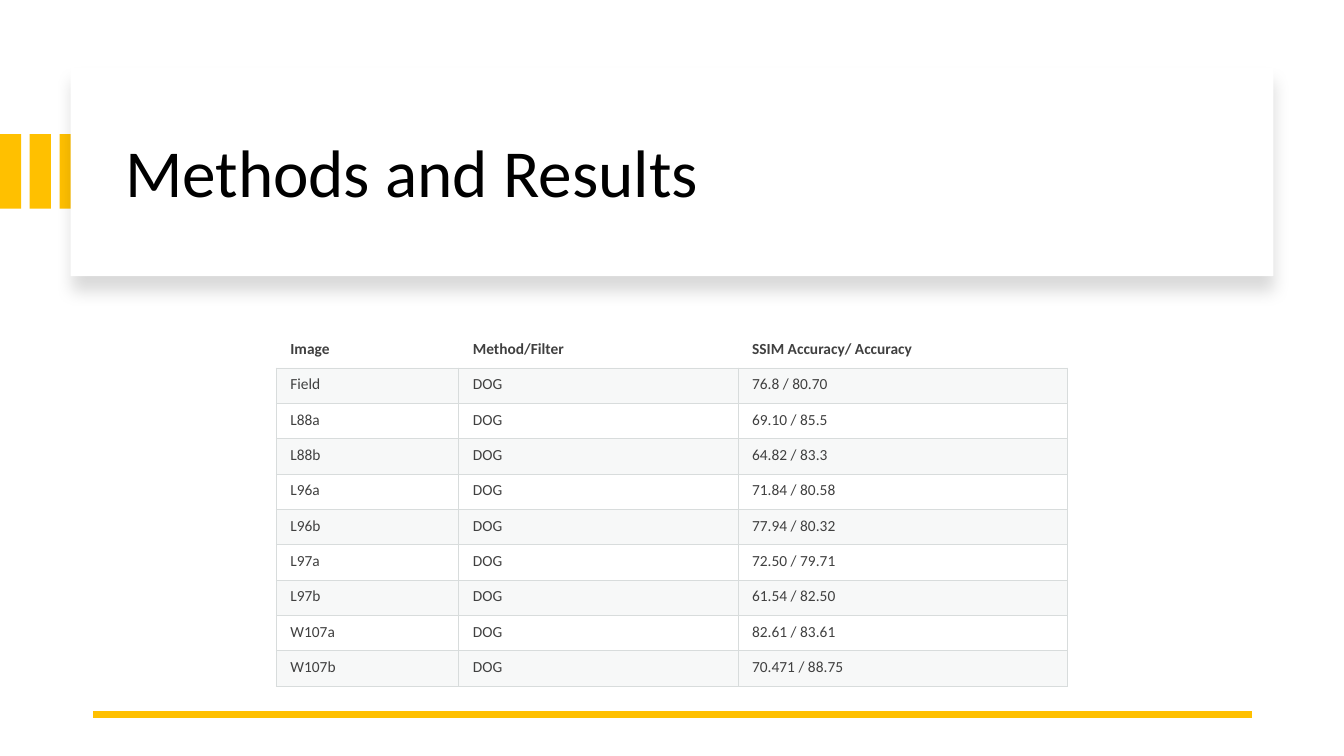
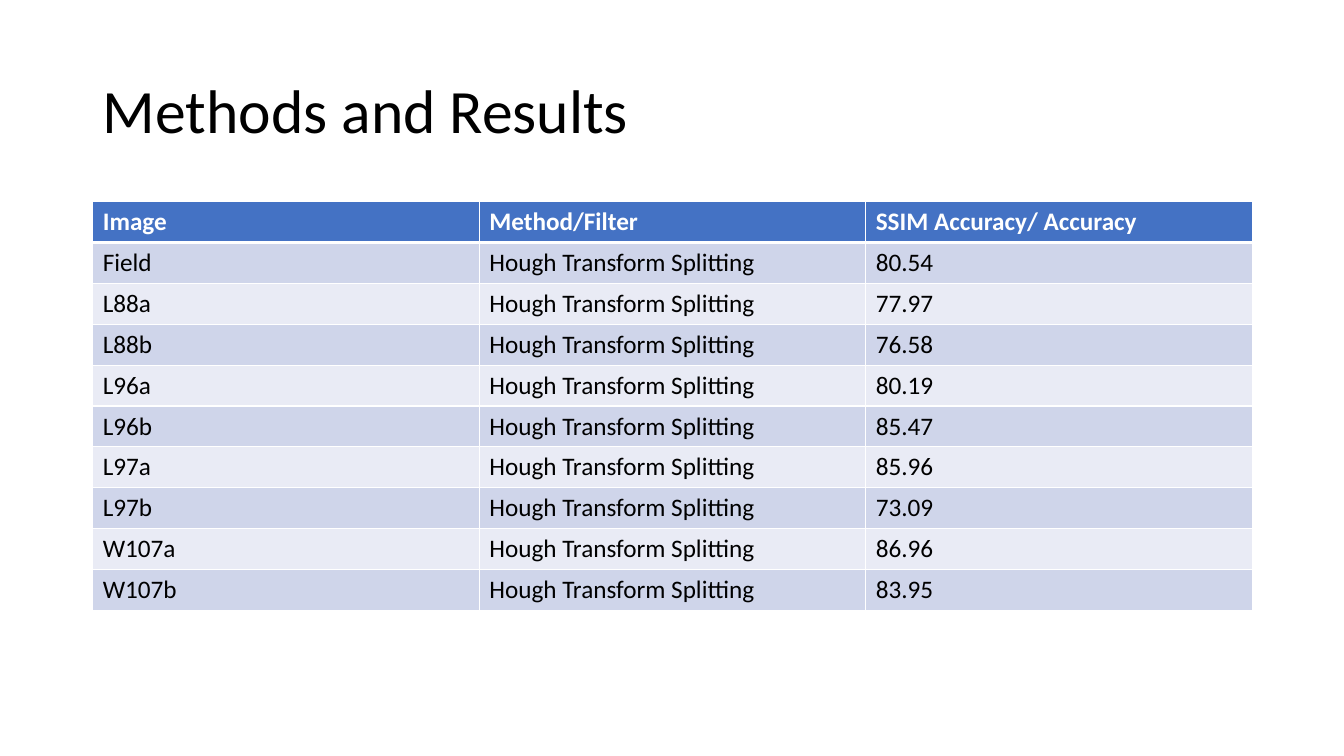
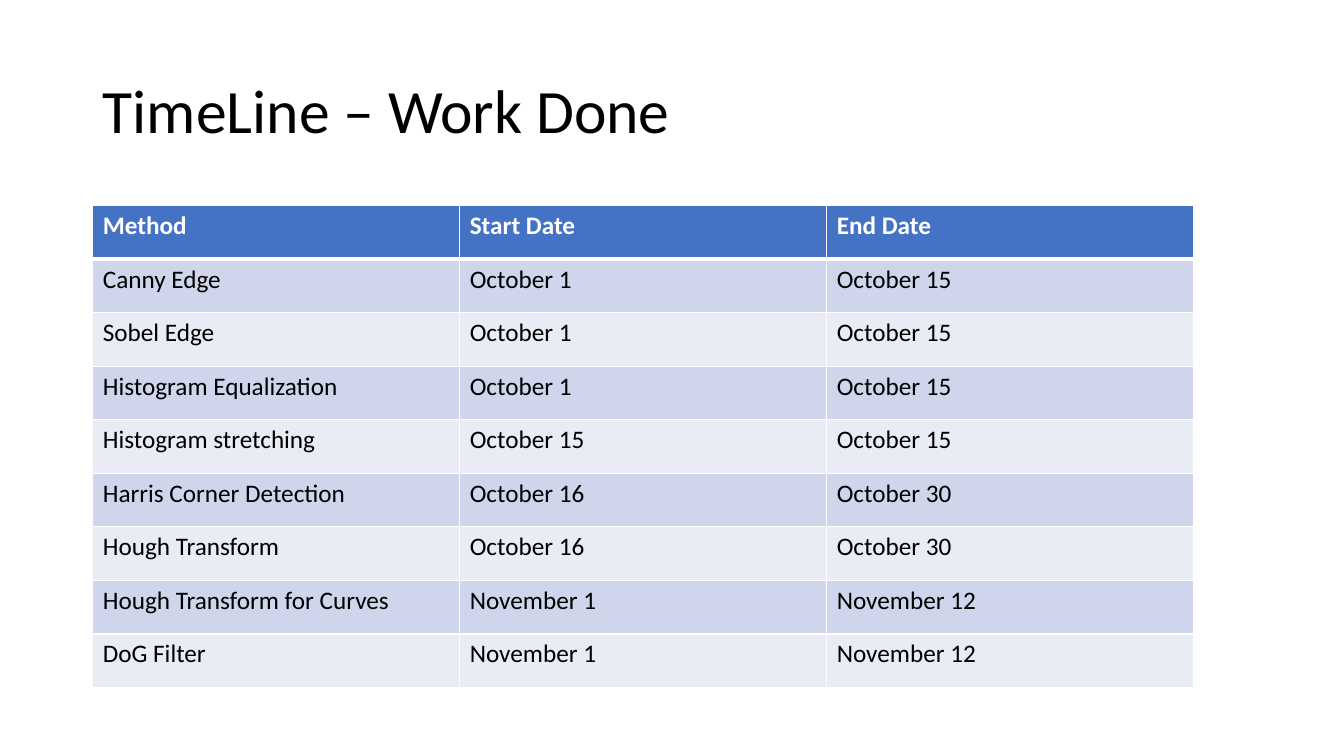
from dataclasses import dataclass
from typing import NamedTuple

from lxml.etree import SubElement
from pptx import Presentation
from pptx.dml.color import RGBColor
from pptx.enum.shapes import MSO_CONNECTOR as Connector, MSO_SHAPE as Shape
from pptx.enum.text import MSO_ANCHOR as Anchor, MSO_AUTO_SIZE as AutoSize, PP_ALIGN as Align
from pptx.oxml.ns import qn
from pptx.util import Inches, Pt


class Box(NamedTuple):
    """A region in inches."""
    left: float
    top: float
    width: float
    height: float

    def lengths(self):
        """Return the four sides as lengths."""
        return [Inches(side) for side in self]


class Border(NamedTuple):
    """A cell border; a width of zero hides it."""
    colour: str
    width: float


@dataclass(frozen=True)
class TableLook:
    """Colours, sizes and borders of one kind of table."""
    size: int
    header_text: str
    body_text: str
    header_fill: str | None
    band_fills: tuple
    outer_header: Border
    header_rule: Border
    grid: Border
    opacity: int = 100
    insets: tuple = (0.1, 0.05, 0.1, 0.05)


@dataclass(frozen=True)
class Theme:
    """Fonts, colours and sizes shared by the deck."""
    font: str = "Calibri"
    text: str = "000000"
    card: str = "FFFFFF"
    accent: str = "FFC000"
    title_size: int = 44
    card_title_size: int = 48
    rule_width: float = 4.5
    banded: TableLook = TableLook(
        size=18, header_text="FFFFFF", body_text="000000",
        header_fill="4472C4", band_fills=("CFD5EA", "E9EBF5"),
        outer_header=Border("FFFFFF", 1), header_rule=Border("FFFFFF", 3),
        grid=Border("FFFFFF", 1))
    light: TableLook = TableLook(
        size=11, header_text="404040", body_text="404040",
        header_fill=None, band_fills=("D8DEDC", None),
        outer_header=Border("D8DCDC", 0), header_rule=Border("D8DCDC", 0.75),
        grid=Border("D8DCDC", 0.75), opacity=20, insets=(0.14, 0.07, 0.09, 0.07))


THEME = Theme()
TITLE_BOX = Box(0.92, 0.4, 11.5, 1.45)
IMAGES = ("Field", "L88a", "L88b", "L96a", "L96b", "L97a", "L97b", "W107a", "W107b")
RESULT_HEADER = ("Image", "Method/Filter", "SSIM Accuracy/ Accuracy")
DOG_SCORES = ("76.8 / 80.70", "69.10 / 85.5", "64.82 / 83.3", "71.84 / 80.58", "77.94 / 80.32",
              "72.50 / 79.71", "61.54 / 82.50", "82.61 / 83.61", "70.471 / 88.75")
HOUGH_SCORES = ("80.54", "77.97", "76.58", "80.19", "85.47", "85.96", "73.09", "86.96", "83.95")
TIMELINE = (
    ("Method", "Start Date", "End Date"),
    ("Canny Edge", "October 1", "October 15"),
    ("Sobel Edge", "October 1", "October 15"),
    ("Histogram Equalization", "October 1", "October 15"),
    ("Histogram stretching", "October 15", "October 15"),
    ("Harris Corner Detection", "October 16", "October 30"),
    ("Hough Transform", "October 16", "October 30"),
    ("Hough Transform for Curves", "November 1", "November 12"),
    ("DoG Filter", "November 1", "November 12"),
)


def result_rows(method, scores):
    """Return the header and one row of results for each image."""
    return [RESULT_HEADER, *((image, method, score) for image, score in zip(IMAGES, scores))]


def add_span(para, text, size, colour, bold=False):
    """Add one formatted run."""
    span = para.add_run()
    span.text = text
    span.font.name = THEME.font
    span.font.size = Pt(size)
    span.font.bold = bold
    span.font.color.rgb = RGBColor.from_string(colour)


def add_title(page, box, text, size=THEME.title_size):
    """Place the title placeholder in front of the other shapes."""
    title = page.shapes.title
    title.left, title.top, title.width, title.height = box.lengths()
    frame = title.text_frame
    frame.auto_size = AutoSize.NONE
    frame.word_wrap = True
    frame.vertical_anchor = Anchor.MIDDLE
    para = frame.paragraphs[0]
    para.alignment = Align.LEFT
    para.line_spacing = 0.9
    add_span(para, text, size, THEME.text)
    page.shapes.element.append(title.element)


def add_rectangle(shapes, box, colour):
    """Add a plain filled rectangle."""
    rectangle = shapes.add_shape(Shape.RECTANGLE, *box.lengths())
    rectangle.fill.solid()
    rectangle.fill.fore_color.rgb = RGBColor.from_string(colour)
    rectangle.line.fill.background()
    rectangle.shadow.inherit = False
    return rectangle


def add_drop_shadow(shape):
    """Give a shape a soft shadow below it."""
    effects = shape.element.spPr.find(qn("a:effectLst"))
    shadow = SubElement(effects, qn("a:outerShdw"), blurRad=str(Pt(11)), dist=str(Pt(10)),
                        dir="5400000", algn="t", rotWithShape="0")
    colour = SubElement(shadow, qn("a:srgbClr"), val="000000")
    SubElement(colour, qn("a:alpha"), val="15000")


def add_title_card(page, box, text):
    """Draw the title card with its three stripes at the left."""
    stripes = page.shapes.add_group_shape()
    for index in range(3):
        left = box.left - 0.7 + index * 0.59 / 2
        add_rectangle(stripes.shapes, Box(left, box.top + 0.66, 0.21, 0.74), THEME.accent)
    add_drop_shadow(add_rectangle(page.shapes, box, THEME.card))
    title_box = Box(box.left + 0.44, box.top + 0.22, box.width - 0.8, box.height - 0.37)
    add_title(page, title_box, text, THEME.card_title_size)


def add_rule(page, left, top, width):
    """Draw the accent rule at the foot of the slide."""
    rule = page.shapes.add_connector(Connector.STRAIGHT, Inches(left + width), Inches(top),
                                     Inches(left), Inches(top))
    rule.line.color.rgb = RGBColor.from_string(THEME.accent)
    rule.line.width = Pt(THEME.rule_width)
    SubElement(rule.element.spPr, qn("a:effectLst"))


def set_borders(cell, borders):
    """Set the left, right, top and bottom borders of a cell."""
    properties = cell._tc.get_or_add_tcPr()
    for side, border in zip("LRTB", borders):
        line = SubElement(properties, qn(f"a:ln{side}"), w=str(Pt(border.width)))
        if border.width:
            fill = SubElement(line, qn("a:solidFill"))
            SubElement(fill, qn("a:srgbClr"), val=border.colour)
        else:
            SubElement(line, qn("a:noFill"))


def fill_cell(cell, colour, opacity):
    """Fill a cell, or leave it clear when there is no colour."""
    if colour is None:
        cell.fill.background()
        return
    cell.fill.solid()
    cell.fill.fore_color.rgb = RGBColor.from_string(colour)
    if opacity < 100:
        tint = cell._tc.tcPr.find(f"{qn('a:solidFill')}/{qn('a:srgbClr')}")
        SubElement(tint, qn("a:alpha"), val=str(opacity * 1000))


def format_cell(cell, text, row, look):
    """Write and format one table cell."""
    header = row == 0
    edge = look.outer_header if header else look.grid
    above = look.header_rule if row == 1 else edge
    below = look.header_rule if header else edge
    set_borders(cell, (edge, edge, above, below))
    band = look.band_fills[(row - 1) % len(look.band_fills)]
    fill_cell(cell, look.header_fill if header else band, look.opacity)
    insets = [Inches(inset) for inset in look.insets]
    cell.margin_left, cell.margin_top, cell.margin_right, cell.margin_bottom = insets
    colour = look.header_text if header else look.body_text
    add_span(cell.text_frame.paragraphs[0], text, look.size, colour, header)


def add_grid(page, box, rows, look, weights=(1, 1, 1)):
    """Add a table whose columns share the box width by weight."""
    table = page.shapes.add_table(len(rows), len(weights), *box.lengths()).table
    table.horz_banding = False
    for column, weight in zip(table.columns, weights):
        column.width = Inches(box.width * weight / sum(weights))
    for row, texts in enumerate(rows):
        table.rows[row].height = Inches(box.height / len(rows))
        for column, text in enumerate(texts):
            format_cell(table.cell(row, column), text, row, look)


def add_page(deck):
    """Add a slide with only a title placeholder."""
    return deck.slides.add_slide(deck.slide_layouts.get_by_name("Title Only"))


def add_card_page(deck, title, rows):
    """Add a slide with a title card, a light table and a rule."""
    page = add_page(deck)
    add_title_card(page, Box(0.7, 0.67, 11.93, 2.07), title)
    add_rule(page, 0.92, 7.09, 11.5)
    add_grid(page, Box(2.74, 3.3, 7.85, 3.51), rows, THEME.light, (1.81, 2.77, 3.27))


def add_table_page(deck, title, box, rows):
    """Add a slide with a plain title and a banded table."""
    page = add_page(deck)
    add_title(page, TITLE_BOX, title)
    add_grid(page, box, rows, THEME.banded)


def main():
    """Build and save the deck."""
    deck = Presentation()
    deck.slide_width, deck.slide_height = Inches(13.33), Inches(7.5)
    add_card_page(deck, "Methods and Results", result_rows("DOG", DOG_SCORES))
    add_table_page(deck, "Methods and Results", Box(0.92, 2, 11.5, 4.05),
                   result_rows("Hough Transform Splitting", HOUGH_SCORES))
    add_table_page(deck, "TimeLine – Work Done", Box(0.92, 2.04, 10.92, 4.78), TIMELINE)
    deck.save("out.pptx")


if __name__ == "__main__":
    main()
